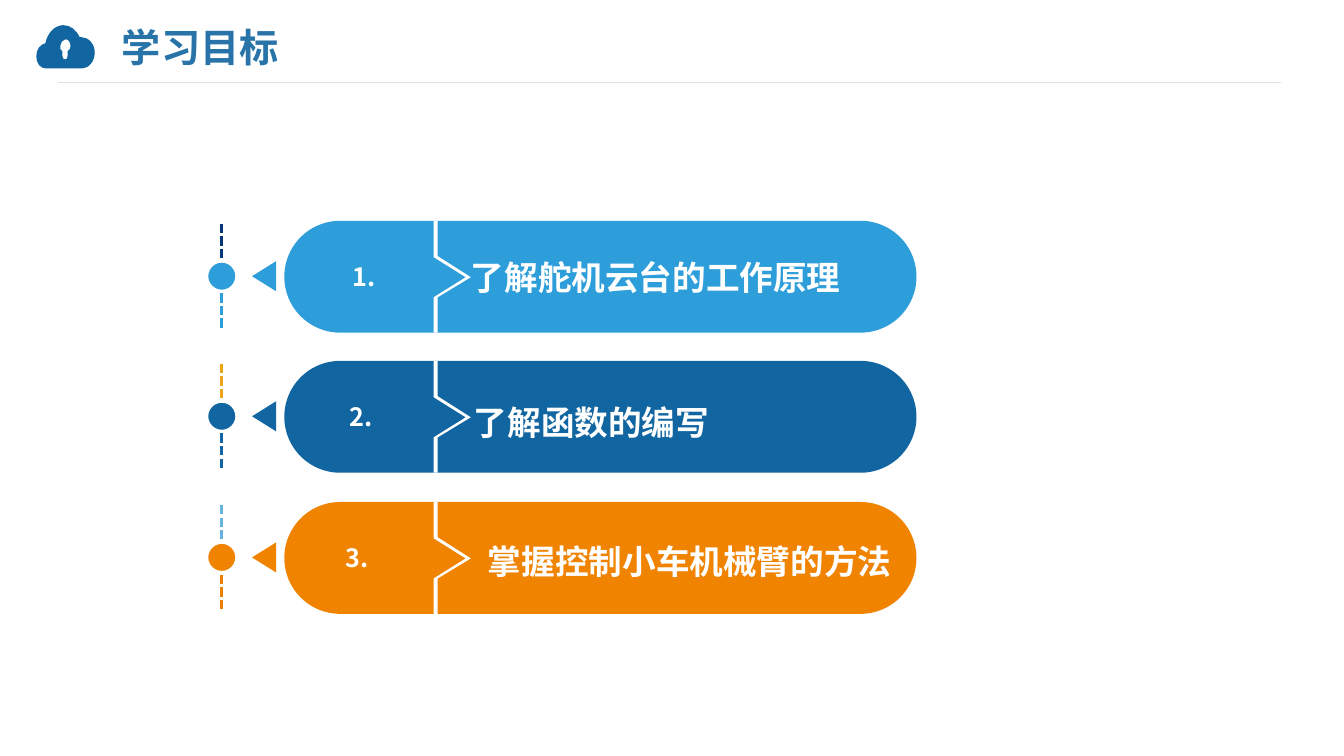
"""Build the learning goals slide with three numbered bars."""
from lxml import etree
from pptx import Presentation
from pptx.dml.color import RGBColor
from pptx.enum.dml import MSO_LINE
from pptx.enum.shapes import MSO_CONNECTOR, MSO_SHAPE
from pptx.enum.text import MSO_ANCHOR, PP_ALIGN
from pptx.oxml.ns import qn
from pptx.util import Pt

PX = 9144
FONT = "Noto Sans CJK SC"
STRAIGHT = MSO_CONNECTOR.STRAIGHT
ROUNDED, OVAL, TRIANGLE = MSO_SHAPE.ROUNDED_RECTANGLE, MSO_SHAPE.OVAL, MSO_SHAPE.ISOSCELES_TRIANGLE
DASHED = MSO_LINE.SQUARE_DOT
TOP, MIDDLE = MSO_ANCHOR.TOP, MSO_ANCHOR.MIDDLE
LEFT, CENTER = PP_ALIGN.LEFT, PP_ALIGN.CENTER

WHITE = RGBColor(0xFF, 0xFF, 0xFF)
GREY = RGBColor(0xE0, 0xE0, 0xE0)
TITLE_BLUE = RGBColor(0x28, 0x74, 0xA9)
SKY = RGBColor(0x2E, 0x9E, 0xDA)
BLUE = RGBColor(0x11, 0x65, 0xA0)
ORANGE = RGBColor(0xF0, 0x83, 0x00)
NAVY = RGBColor(0x05, 0x36, 0x75)
AMBER = RGBColor(0xEB, 0xA4, 0x17)
PALE_BLUE = RGBColor(0x66, 0xB3, 0xE1)
DARK_ORANGE = RGBColor(0xEB, 0x80, 0x00)

# Each segment ends at its last point; points before it are curve controls.
CLOUD = [[(81, 37)], [(80, 37), (80, 37), (79, 37)], [(76, 30), (70, 25), (63, 25)],
         [(54, 25), (47, 33), (45, 43)], [(40, 44), (36, 49), (36, 56)],
         [(36, 63), (40, 68), (46, 68)], [(81, 68)],
         [(88, 68), (94, 61), (94, 52)], [(94, 44), (88, 37), (81, 37)]]
KEYHOLE = [[(67, 51)], [(67, 56)], [(67, 58), (66, 59), (65, 59)],
           [(63, 59), (62, 58), (62, 56)], [(62, 51)], [(60, 50), (59, 48), (60, 45)],
           [(60, 42), (62, 40), (65, 39)], [(68, 39), (70, 42), (70, 46)],
           [(70, 48), (69, 50), (67, 51)]]
DIVIDER = [(430, 0), (430, 36), (462, 56), (430, 76), (430, 111), (434, 111),
           (434, 76), (467, 56), (434, 35), (434, 0)]

# Each goal: number, number box, text, text box, left inset, colours.
GOALS = [
    ("1.", (311, 101), "了解舵机云台的工作原理", (420, 247, 430, 56), 47, SKY, NAVY, SKY),
    ("2.", (311, 94), "了解函数的编写", (407, 354, 459, 129), 63, BLUE, AMBER, BLUE),
    ("3.", (309, 91), "掌握控制小车机械臂的方法", (437, 507, 460, 100), 47,
     ORANGE, PALE_BLUE, DARK_ORANGE),
]


def scaled(*lengths):
    """Turn px lengths into EMU."""
    return [length * PX for length in lengths]


def paint(shape, color):
    """Give a shape a plain fill without line or shadow."""
    shape.shadow.inherit = False
    shape.fill.solid()
    shape.fill.fore_color.rgb = color
    shape.line.fill.background()


def add_preset(slide, kind, box, color):
    """Add a plain preset shape."""
    shape = slide.shapes.add_shape(kind, *scaled(*box))
    paint(shape, color)
    return shape


def add_outline(slide, contours, color):
    """Add a filled outline made of one or more closed contours."""
    builder = slide.shapes.build_freeform(*contours[0][0], scale=PX)
    for contour in contours:
        if contour is not contours[0]:
            builder.move_to(*contour[0])
        builder.add_line_segments(contour[1:], close=True)
    shape = builder.convert_to_shape()
    paint(shape, color)
    return shape


def add_curved_outline(slide, contours, color):
    """Add an outline whose segments may be cubic curves."""
    ends = [[segment[-1] for segment in contour] for contour in contours]
    shape = add_outline(slide, ends, color)
    left = min(x for contour in ends for x, _ in contour)
    top = min(y for contour in ends for _, y in contour)
    segments = [segment for contour in contours for segment in contour[1:]]
    edges = list(shape._element.iter(qn("a:lnTo")))
    for edge, segment in zip(edges, segments):
        if len(segment) == 1:
            continue
        curve = etree.Element(qn("a:cubicBezTo"))
        for x, y in segment:
            etree.SubElement(curve, qn("a:pt"), x=str(x - left), y=str(y - top))
        edge.getparent().replace(edge, curve)


def add_line(slide, start, end, color, width, dash=None):
    """Add a straight line without shadow."""
    line = slide.shapes.add_connector(STRAIGHT, *scaled(*start, *end))
    line.line.color.rgb = color
    line.line.width = Pt(width)
    if dash is not None:
        line.line.dash_style = dash
    etree.SubElement(line._element.spPr, qn("a:effectLst"))


def add_text(slide, box, text, size, color=WHITE, insets=(0, 0, 0, 0),
             anchor=MIDDLE, align=LEFT, wrap=False):
    """Add a bold text box of one paragraph."""
    frame = slide.shapes.add_textbox(*scaled(*box)).text_frame
    frame.word_wrap = wrap
    frame.vertical_anchor = anchor
    (frame.margin_left, frame.margin_top,
     frame.margin_right, frame.margin_bottom) = scaled(*insets)
    paragraph = frame.paragraphs[0]
    paragraph.text = text
    paragraph.alignment = align
    font = paragraph.font
    font.size = Pt(size)
    font.bold = True
    font.color.rgb = color
    font.name = FONT
    defaults = paragraph._p.pPr.find(qn("a:defRPr"))
    etree.SubElement(defaults, qn("a:ea")).set("typeface", FONT)


def add_header(slide):
    """Add the rule, the cloud icon and the title."""
    add_line(slide, (1271, 82), (58, 82), GREY, 0.75)
    add_curved_outline(slide, [CLOUD, KEYHOLE], BLUE)
    add_text(slide, (121, 20, 889, 52), "学习目标", 28, TITLE_BLUE, wrap=True)


def add_goal(slide, top, goal):
    """Add one numbered bar with its timeline marker."""
    number, (number_left, number_width), text, text_box, indent, color, upper, lower = goal
    bar = add_preset(slide, ROUNDED, (282, top, 627, 111), color)
    bar.adjustments[0] = 0.5
    add_outline(slide, [[(x, top + y) for x, y in DIVIDER]], WHITE)
    add_preset(slide, TRIANGLE, (247, top + 43, 30, 24), color).rotation = 270
    add_text(slide, (number_left, top + 35, number_width, 34), number, 18,
             insets=(10, 5, 10, 5), anchor=TOP, align=CENTER)
    add_text(slide, text_box, text, 24, insets=(indent, 0, 0, 0))
    add_line(slide, (220, top + 72), (220, top + 108), lower, 2.25, DASHED)
    dot = add_preset(slide, OVAL, (205, top + 40, 30, 30), color)
    dot.line.color.rgb = WHITE
    dot.line.width = Pt(2.25)
    add_line(slide, (220, top + 3), (220, top + 39), upper, 2.25, DASHED)


def main():
    """Build and save the slide."""
    deck = Presentation()
    deck.slide_width, deck.slide_height = scaled(1333, 750)
    slide = deck.slides.add_slide(deck.slide_layouts[6])
    add_header(slide)
    for index, goal in enumerate(GOALS):
        add_goal(slide, 219 + index * 279 // 2, goal)
    deck.save("out.pptx")


if __name__ == "__main__":
    main()
